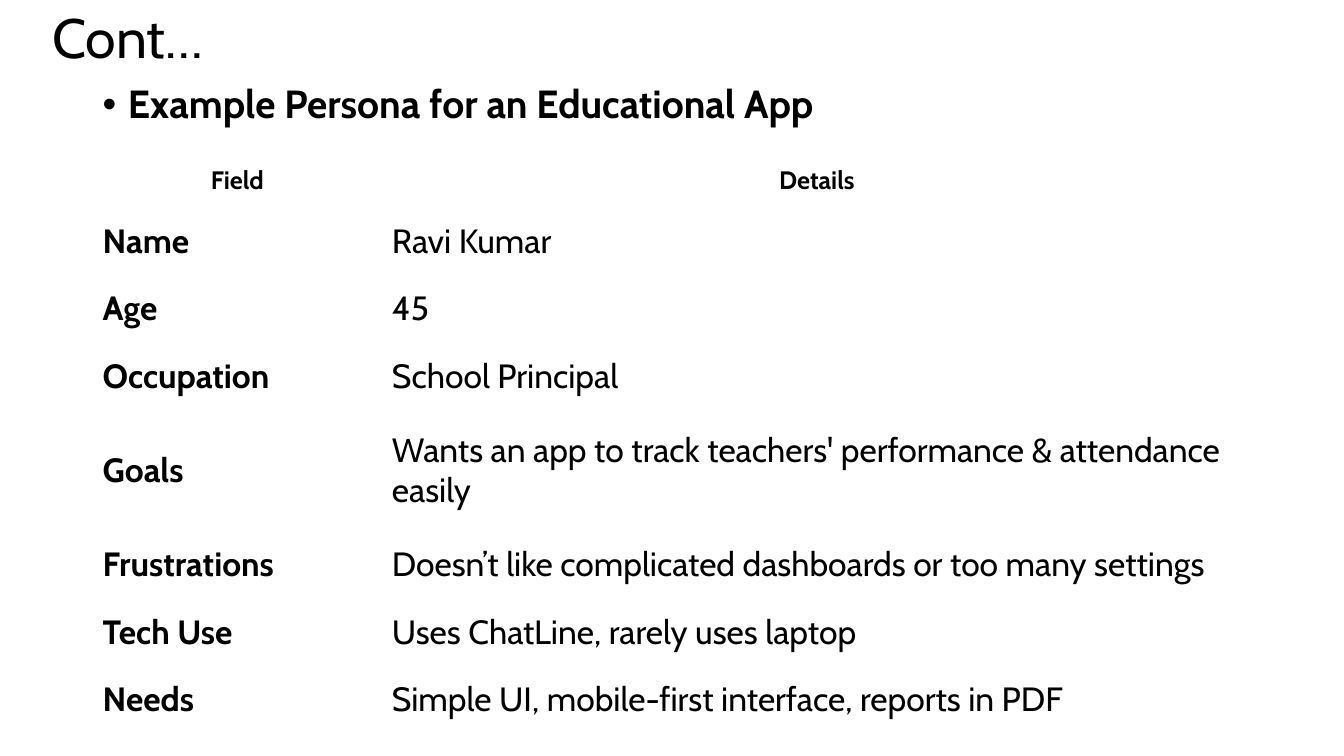
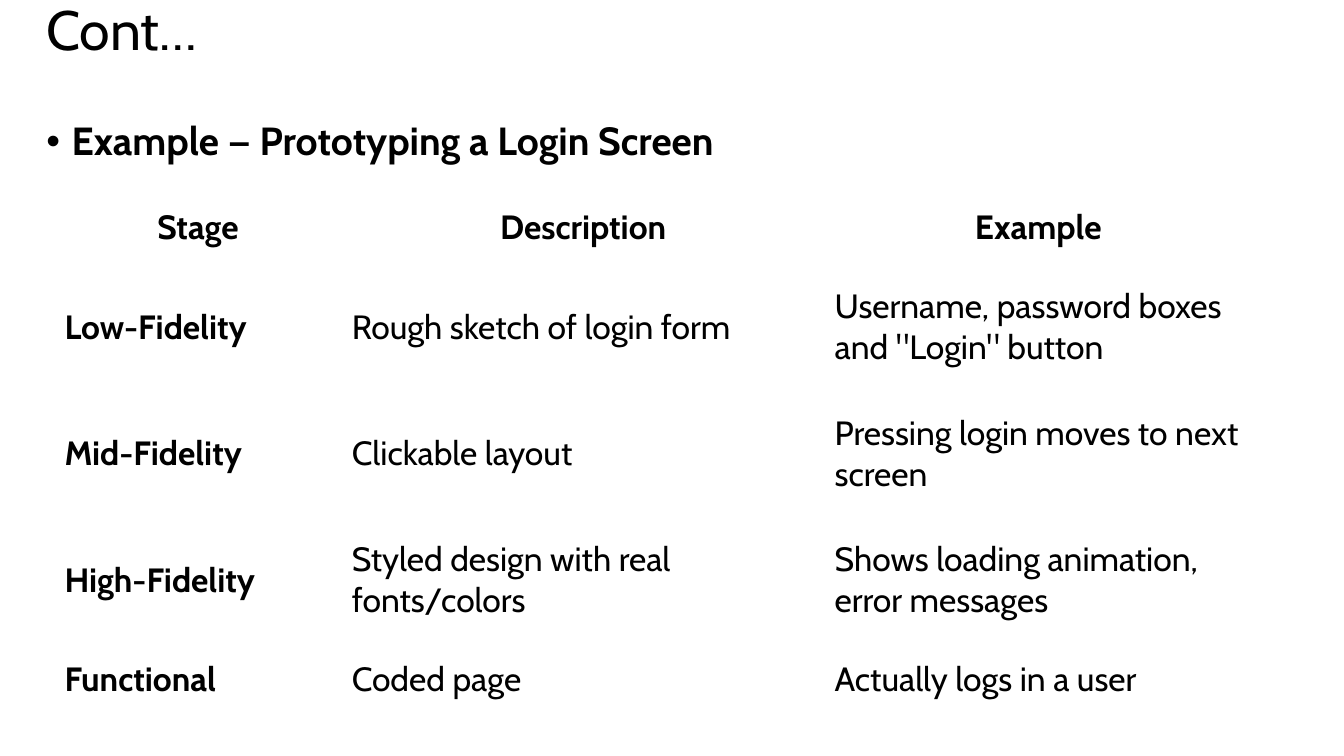
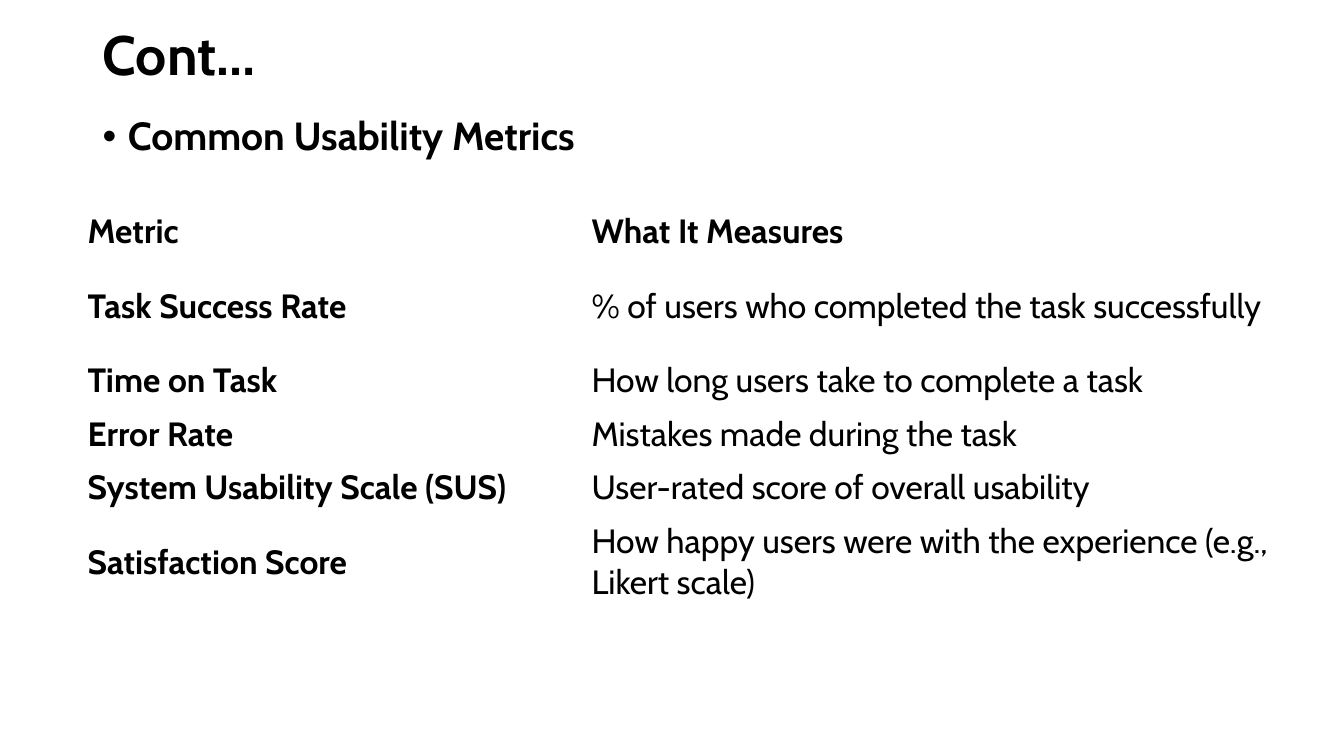
"""Build three text-and-table slides on personas, prototyping and usability metrics."""
from lxml.etree import SubElement
from pptx import Presentation
from pptx.dml.color import RGBColor
from pptx.enum.text import MSO_ANCHOR, MSO_AUTO_SIZE, PP_ALIGN
from pptx.oxml.ns import qn
from pptx.util import Pt

COLORS = {"text": "000000", "background": "FFFFFF"}
FONT = "Cabin"
TITLE_SIZE, BULLET_SIZE, CELL_SIZE = 39.6, 28, 24
BULLET_INDENT = 18

SLIDES = [
    {
        "title_box": (30.2, 16.6, 828, 25.2),
        "title_bold": False,
        "bullet": "Example Persona for an Educational App",
        "body_box": (66.2, 56.9, 828, 454.3),
        "table_at": (66.2, 109.4),
        "cols": [206.6, 621.4],
        "rows": [38.9] + [48.2] * 3 + [86.4] + [48.2] * 3,
        "header_size": 18,
        "header_align": PP_ALIGN.CENTER,
        "cells": [
            ("Field", "Details"),
            ("Name", "Ravi Kumar"),
            ("Age", "45"),
            ("Occupation", "School Principal"),
            ("Goals", "Wants an app to track teachers' performance & attendance easily"),
            ("Frustrations", "Doesn’t like complicated dashboards or too many settings"),
            ("Tech Use", "Uses ChatLine, rarely uses laptop"),
            ("Needs", "Simple UI, mobile-first interface, reports in PDF"),
        ],
    },
    {
        "title_box": (25.9, 0, 828, 46.8),
        "title_bold": False,
        "bullet": "Example — Prototyping a Login Screen",
        "body_box": (25.9, 83.5, 920.9, 445),
        "table_at": (38.9, 136.8),
        "cols": [205.2, 344.9, 305.3],
        "rows": [51.8] + [90.3] * 3 + [51.8],
        "header_size": CELL_SIZE,
        "header_align": PP_ALIGN.CENTER,
        "cells": [
            ("Stage", "Description", "Example"),
            ("Low-Fidelity", "Rough sketch of login form",
             'Username, password boxes and "Login" button'),
            ("Mid-Fidelity", "Clickable layout", "Pressing login moves to next screen"),
            ("High-Fidelity", "Styled design with real fonts/colors",
             "Shows loading animation, error messages"),
            ("Functional", "Coded page", "Actually logs in a user"),
        ],
    },
    {
        "title_box": (66.2, 28.8, 828, 25.2),
        "title_bold": True,
        "bullet": "Common Usability Metrics",
        "body_box": (66.2, 79.9, 828, 406.1),
        "table_at": (55.4, 146.2),
        "cols": [360, 504],
        "rows": [38.2, 68.4] + [38.2] * 3 + [68.4],
        "header_size": CELL_SIZE,
        "header_align": PP_ALIGN.LEFT,
        "cells": [
            ("Metric", "What It Measures"),
            ("Task Success Rate", "% of users who completed the task successfully"),
            ("Time on Task", "How long users take to complete a task"),
            ("Error Rate", "Mistakes made during the task"),
            ("System Usability Scale (SUS)", "User-rated score of overall usability"),
            ("Satisfaction Score",
             "How happy users were with the experience (e.g., Likert scale)"),
        ],
    },
]


def write(tf, text, size=CELL_SIZE, bold=False, align=PP_ALIGN.LEFT, spacing=1.0, bullet=None):
    p = tf.paragraphs[0]
    if bullet:
        pPr = p._p.get_or_add_pPr()
        pPr.set("marL", str(Pt(BULLET_INDENT)))
        pPr.set("indent", str(-Pt(BULLET_INDENT)))
        SubElement(pPr, qn("a:buFont")).set("typeface", "Arial")
        SubElement(pPr, qn("a:buChar")).set("char", bullet)
    p.alignment = align
    p.line_spacing = spacing
    p.space_before = Pt(0)
    r = p.add_run()
    r.text = text
    r.font.name = FONT
    r.font.size = Pt(size)
    r.font.bold = bold
    r.font.color.rgb = RGBColor.from_string(COLORS["text"])


def place(sp, box, anchor):
    sp.left, sp.top, sp.width, sp.height = [Pt(v) for v in box]
    tf = sp.text_frame
    tf.word_wrap = True
    tf.auto_size = MSO_AUTO_SIZE.NONE
    tf.vertical_anchor = anchor
    return tf


prs = Presentation()
prs.slide_width, prs.slide_height = Pt(960), Pt(540)
fill = prs.slide_master.background.fill
fill.solid()
fill.fore_color.rgb = RGBColor.from_string(COLORS["background"])

for page in SLIDES:
    s = prs.slides.add_slide(prs.slide_layouts[1])
    tf = place(s.shapes.title, page["title_box"], MSO_ANCHOR.MIDDLE)
    write(tf, "Cont…", size=TITLE_SIZE, bold=page["title_bold"], spacing=0.9)
    tf = place(s.placeholders[1], page["body_box"], MSO_ANCHOR.TOP)
    write(tf, page["bullet"], size=BULLET_SIZE, bold=True, spacing=0.9, bullet="•")

    cols, rows = page["cols"], page["rows"]
    left, top = page["table_at"]
    table = s.shapes.add_table(len(rows), len(cols), Pt(left), Pt(top),
                               Pt(sum(cols)), Pt(sum(rows))).table
    table.first_row = table.horz_banding = False
    for col, width in zip(table.columns, cols):
        col.width = Pt(width)
    for i, (row, height, texts) in enumerate(zip(table.rows, rows, page["cells"])):
        row.height = Pt(height)
        for j, (cell, text) in enumerate(zip(row.cells, texts)):
            cell.fill.background()
            cell.vertical_anchor = MSO_ANCHOR.MIDDLE
            if i == 0:
                write(cell.text_frame, text, size=page["header_size"], bold=True,
                      align=page["header_align"])
            else:
                write(cell.text_frame, text, bold=j == 0)

prs.save("out.pptx")
